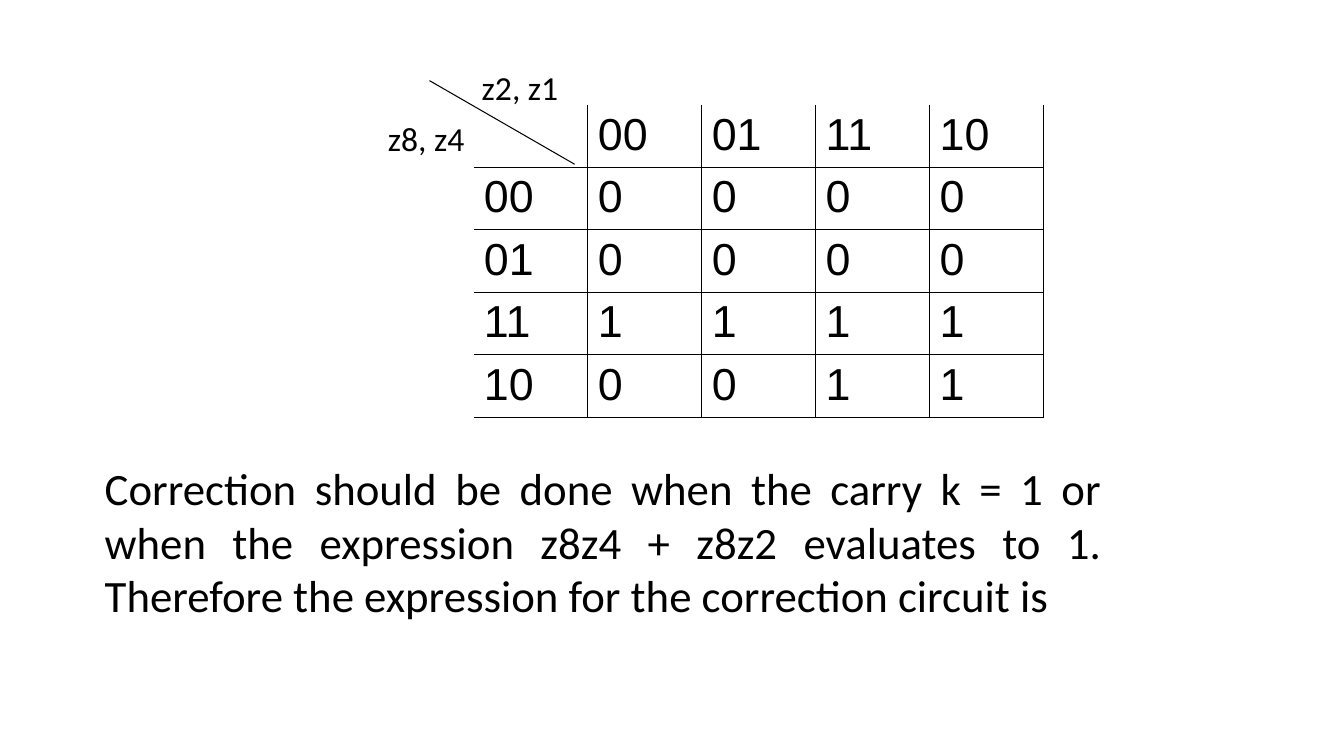
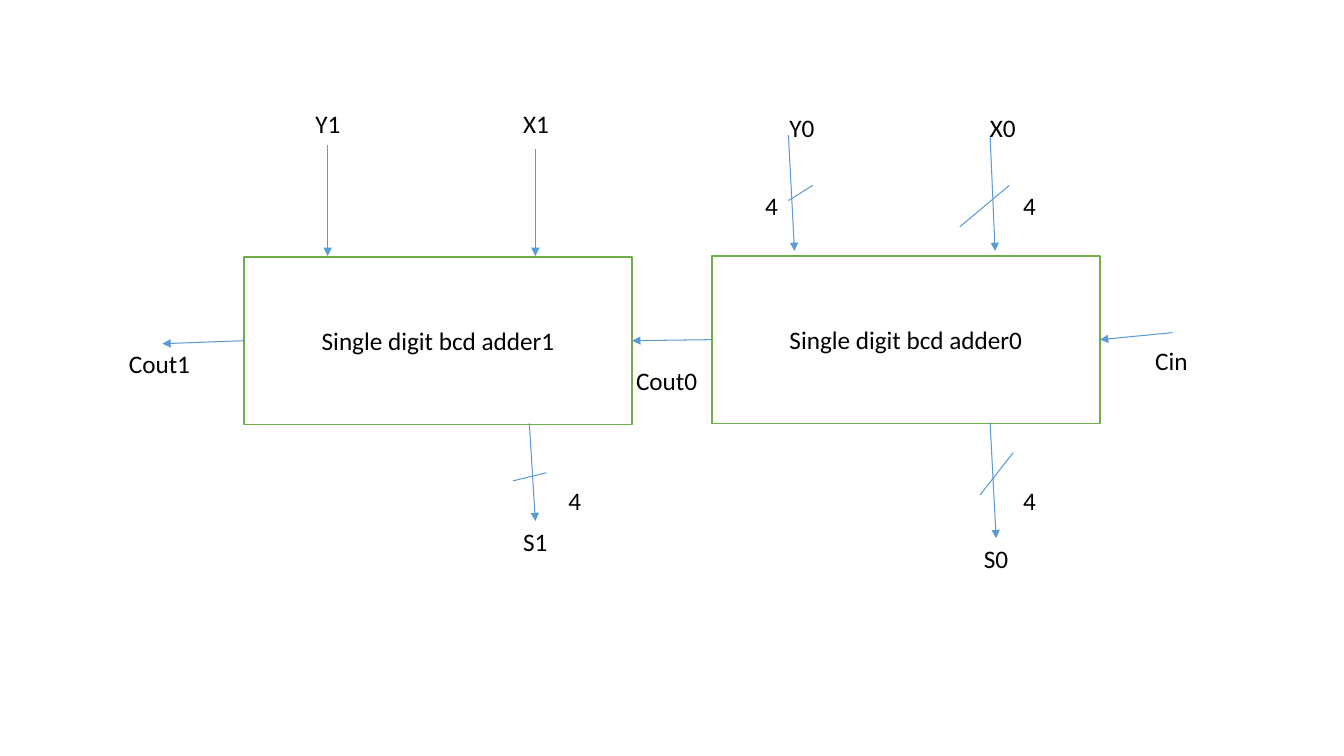
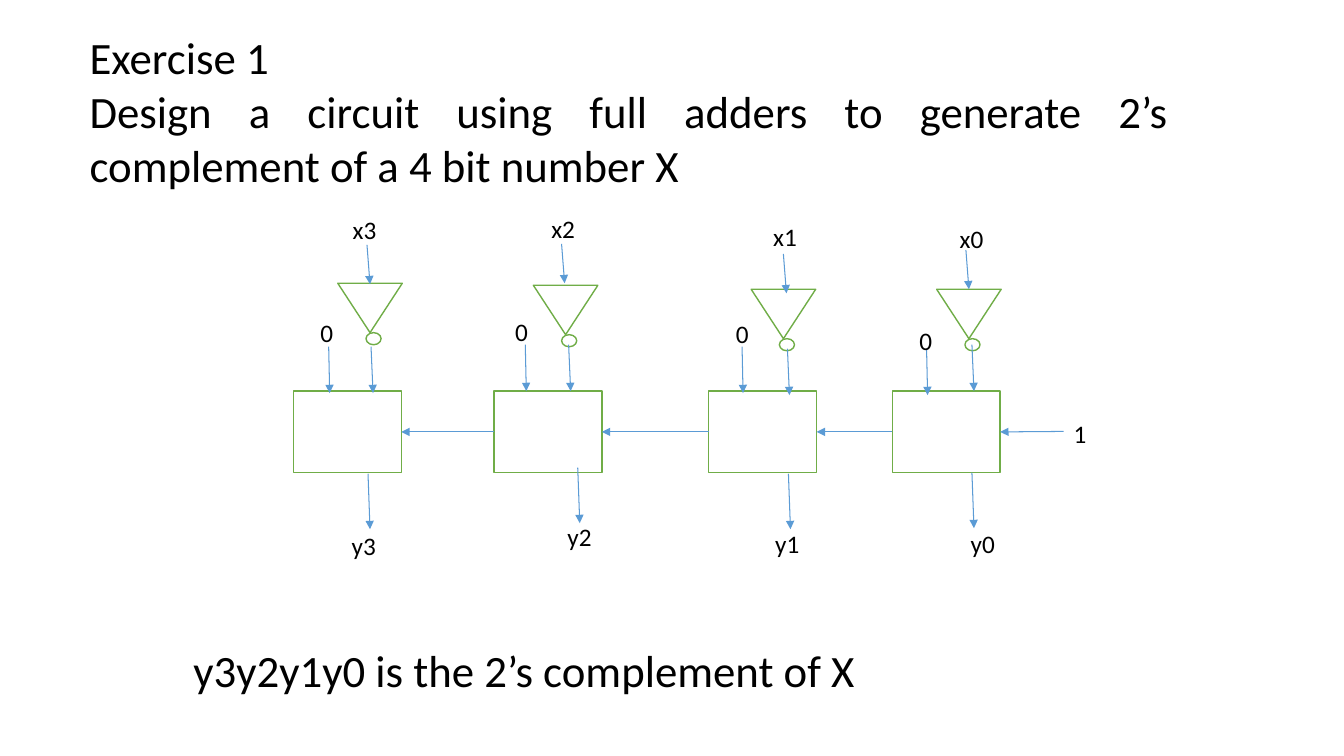
import pptx
import pptx.dml.color
import pptx.enum.dml
import pptx.enum.shapes
import pptx.enum.text
import pptx.oxml
import pptx.oxml.ns
import pptx.util
from lxml import etree
from pptx.util import Inches

COLORS = {"ink": "000000", "paper": "FFFFFF", "block": "70AD47", "wire": "5B9BD5"}
BODY, CELL = {"name": "Calibri", "size": 32}, {"name": "Arial", "size": 32}
AXIS, LABEL = {"name": "Calibri", "size": 24}, {"name": "Calibri", "size": 18}
INSETS = {"margin_left": 0.1, "margin_top": 0.05, "margin_right": 0.1, "margin_bottom": 0.05}
SHAPE = pptx.enum.shapes.MSO_SHAPE
ALIGN = pptx.enum.text.PP_ALIGN
LEFT_SIDE, RIGHT_SIDE = 1, 3

KARNAUGH_MAP = [
    ["", "00", "01", "11", "10"],
    ["00", "0", "0", "0", "0"],
    ["01", "0", "0", "0", "0"],
    ["11", "1", "1", "1", "1"],
    ["10", "0", "0", "1", "1"],
]

ADDER0 = {
    "name": "Single digit bcd adder0",
    "wires": [(2.76, -1.2, 2.81, -0.05), (0.76, -1.2, 0.82, -0.05), (2.76, 1.65, 2.82, 2.8)],
    "slashes": [(2.95, -0.7, 2.46, -0.29), (1, -0.7, 0.76, -0.55), (2.99, 1.95, 2.66, 2.37)],
    "labels": [("X0", 2.66, -1.47, 0.46), ("4", 2.99, -0.7, 0.33), ("Y0", 0.67, -1.47, 0.45),
               ("4", 0.43, -0.7, 0.33), ("4", 2.99, 2.23, 0.33), ("S0", 2.6, 2.8, 0.45),
               ("Cin", 4.3, 0.84, 0.53), ("Cout0", -0.85, 1.04, 0.82)],
}
ADDER1 = {
    "name": "Single digit bcd adder1",
    "wires": [(2.89, -1.07, 2.89, -0.01), (0.83, -1.11, 0.83, -0.01), (2.83, 1.65, 2.89, 2.62)],
    "slashes": [(3, 2.14, 2.67, 2.22)],
    "labels": [("X1", 2.67, -1.52, 0.46), ("Y1", 0.61, -1.52, 0.45), ("4", 3.12, 2.22, 0.33),
               ("S1", 2.67, 2.62, 0.45), ("Cout1", -1.24, 0.86, 0.82)],
}

WIRE_RUNS = {"x": (0.03, 0.39), "inverted": (0.02, 0.46), "zero": (0.01, 0.46), "y": (0.02, 0.55)}
STAGES = [
    {"left": 8.85, "inverter": (0.44, -1.01),
     "wires": {"x": (0.73, -1.4), "inverted": (0.79, -0.46), "zero": (0.34, -0.42), "y": (0.79, 0.81)},
     "labels": [("x0", 0.57, -1.71, 0.44), ("0", 0.17, -0.7, 0.33), ("y0", 0.68, 1.31, 0.44)]},
    {"left": 7.03, "inverter": (0.42, -1.01),
     "wires": {"x": (0.74, -1.36), "inverted": (0.78, -0.42), "zero": (0.33, -0.44), "y": (0.79, 0.82)},
     "labels": [("x1", 0.54, -1.73, 0.44), ("0", 0.17, -0.77, 0.33), ("y1", 0.56, 1.31, 0.44)]},
    {"left": 4.9, "inverter": (0.39, -1.05),
     "wires": {"x": (0.67, -1.46), "inverted": (0.74, -0.46), "zero": (0.31, -0.46), "y": (0.83, 0.76)},
     "labels": [("x2", 0.47, -1.81, 0.44), ("0", 0.11, -0.79, 0.33), ("y2", 0.63, 1.24, 0.44)]},
    {"left": 2.91, "inverter": (0.44, -1.07),
     "wires": {"x": (0.73, -1.45), "inverted": (0.77, -0.44), "zero": (0.35, -0.44), "y": (0.74, 0.82)},
     "labels": [("x3", 0.49, -1.8, 0.44), ("0", 0.17, -0.78, 0.33), ("y3", 0.48, 1.33, 0.44)]},
]


def rgb(color):
    """Return the named palette colour."""
    return pptx.dml.color.RGBColor.from_string(COLORS[color])


def write(frame, paragraphs, style, align=ALIGN.LEFT):
    """Fill a text frame with evenly styled paragraphs."""
    for side, inset in INSETS.items():
        setattr(frame, side, Inches(inset))
    for index, words in enumerate(paragraphs):
        paragraph = frame.add_paragraph() if index else frame.paragraphs[0]
        paragraph.alignment = align
        run = paragraph.add_run()
        run.text = words
        for key, value in {**style, "size": pptx.util.Pt(style["size"])}.items():
            setattr(run.font, key, value)
        run.font.color.rgb = rgb("ink")


def add_text(slide, box, paragraphs, style, align=ALIGN.LEFT, wrap=True):
    """Place a text box that grows with its text."""
    frame = slide.shapes.add_textbox(*map(Inches, box)).text_frame
    settings = {"word_wrap": wrap, "auto_size": pptx.enum.text.MSO_AUTO_SIZE.SHAPE_TO_FIT_TEXT}
    for key, value in settings.items():
        setattr(frame, key, value)
    write(frame, paragraphs, style, align)


def add_labels(slide, left, top, labels):
    """Place short labels relative to a block's corner."""
    for words, across, down, width in labels:
        add_text(slide, (left + across, top + down, width, 0.4), [words], LABEL, wrap=False)


def add_block(slide, preset, box):
    """Draw a white shape with a green outline."""
    block = slide.shapes.add_shape(preset, *map(Inches, box))
    block.shadow.inherit = False
    block.fill.solid()
    block.fill.fore_color.rgb = rgb("paper")
    block.line.color.rgb = rgb("block")
    block.line.width = pptx.util.Pt(1)
    return block


def add_wire(slide, x1, y1, x2, y2, color="wire", arrow=True):
    """Draw a straight wire, with an arrowhead at its end if wanted."""
    wire = slide.shapes.add_connector(
        pptx.enum.shapes.MSO_CONNECTOR.STRAIGHT, *map(Inches, (x1, y1, x2, y2)))
    wire.line.color.rgb = rgb(color)
    wire.line.width = pptx.util.Pt(0.75)
    if arrow:
        etree.SubElement(wire.line._get_or_add_ln(), pptx.oxml.ns.qn("a:tailEnd"), type="triangle")
    etree.SubElement(wire._element.spPr, pptx.oxml.ns.qn("a:effectLst"))
    return wire


def add_carry(slide, source, target):
    """Join the left side of one block to the right side of the next."""
    carry = add_wire(slide, 0, 0, 1, 1)
    carry.begin_connect(source, LEFT_SIDE)
    carry.end_connect(target, RIGHT_SIDE)


def set_border(cell, side, visible):
    """Draw or hide one border of a table cell."""
    paint = f'<a:solidFill><a:srgbClr val="{COLORS["ink"]}"/></a:solidFill>' if visible else "<a:noFill/>"
    cell._tc.get_or_add_tcPr().append(pptx.oxml.parse_xml(
        f'<a:ln{side} {pptx.oxml.ns.nsdecls("a")} w="12700">{paint}</a:ln{side}>'))


def add_karnaugh_map(slide, left, top, column_width, row_height):
    """Draw the map with its diagonal and the names of its axes."""
    size = len(KARNAUGH_MAP)
    grid = slide.shapes.add_table(size, size, *map(
        Inches, (left, top, size * column_width, size * row_height))).table
    grid.first_row = grid.horz_banding = False
    for row, values in enumerate(KARNAUGH_MAP):
        grid.rows[row].height = Inches(row_height)
        grid.columns[row].width = Inches(column_width)
        for column, value in enumerate(values):
            cell = grid.cell(row, column)
            for side, visible in {"L": column > 0, "R": True, "T": row > 0, "B": True}.items():
                set_border(cell, side, visible)
            cell.fill.background()
            if value:
                write(cell.text_frame, [value], CELL)
    add_wire(slide, left - 0.44, top - 0.24, left + 1, top + 0.59, "ink", arrow=False)
    for words, across, down in [("z2, z1", -0.02, -0.43), ("z8, z4", -0.95, 0.08)]:
        add_text(slide, (left + across, top + down, 0.97, 0.5), [words], AXIS, wrap=False)


def add_adder(slide, left, top, adder):
    """Draw a digit adder with its wires, bus slashes and labels."""
    block = add_block(slide, SHAPE.RECTANGLE, (left, top, 3.85, 1.66))
    block.text_frame.vertical_anchor = pptx.enum.text.MSO_ANCHOR.MIDDLE
    write(block.text_frame, [adder["name"]], LABEL, ALIGN.CENTER)
    for part, arrow in {"wires": True, "slashes": False}.items():
        for x1, y1, x2, y2 in adder[part]:
            add_wire(slide, left + x1, top + y1, left + x2, top + y2, arrow=arrow)
    add_labels(slide, left, top, adder["labels"])
    return block


def add_stage(slide, left, top, stage):
    """Draw a full adder with an inverter on its input."""
    block = add_block(slide, SHAPE.RECTANGLE, (left, top, 1.07, 0.81))
    across, down = stage["inverter"]
    inverter = add_block(slide, SHAPE.ISOSCELES_TRIANGLE, (left + across, top + down, 0.64, 0.49))
    inverter.rotation = 180
    add_block(slide, SHAPE.OVAL, (left + across + 0.28, top + down + 0.49, 0.15, 0.12))
    for part, (x, y) in stage["wires"].items():
        run, drop = WIRE_RUNS[part]
        add_wire(slide, left + x, top + y, left + x + run, top + y + drop)
    add_labels(slide, left, top, stage["labels"])
    return block


def build_correction(slide):
    """Build the slide with the correction map."""
    add_karnaugh_map(slide, 4.7, 1.04, 1.13, 0.62)
    add_text(slide, (0.94, 4.52, 10.09, 1.72), [
        "Correction should be done when the carry k = 1 or when the expression z8z4 + z8z2 "
        "evaluates to 1. Therefore the expression for the correction circuit is"], BODY, ALIGN.JUSTIFY)


def build_bcd_adder(slide):
    """Build the slide with the two digit adder."""
    adder0 = add_adder(slide, 7.06, 2.54, ADDER0)
    adder1 = add_adder(slide, 2.42, 2.55, ADDER1)
    add_carry(slide, adder0, adder1)
    add_wire(slide, 11.63, 3.3, 10.91, 3.37).end_connect(adder0, RIGHT_SIDE)
    add_wire(slide, 2.42, 3.38, 1.61, 3.41).begin_connect(adder1, LEFT_SIDE)


def build_exercise(slide):
    """Build the slide with the complement exercise."""
    add_text(slide, (0.79, 0.25, 10.9, 1.72), [
        "Exercise 1",
        "Design a circuit using full adders to generate 2’s complement of a 4 bit number X",
    ], BODY, ALIGN.JUSTIFY)
    adders = [add_stage(slide, stage["left"], 3.88, stage) for stage in STAGES]
    for source, target in zip(adders, adders[1:]):
        add_carry(slide, source, target)
    add_wire(slide, 10.55, 4.28, 9.92, 4.28).end_connect(adders[0], RIGHT_SIDE)
    add_labels(slide, 10.55, 4.1, [("1", 0, 0, 0.33)])
    add_text(slide, (1.82, 6.33, 6.93, 0.64), ["y3y2y1y0 is the 2’s complement of X"], BODY)


def main():
    """Build and save the presentation."""
    deck = pptx.Presentation()
    deck.slide_width, deck.slide_height = Inches(13.33), Inches(7.5)
    for build in (build_correction, build_bcd_adder, build_exercise):
        build(deck.slides.add_slide(deck.slide_layouts[6]))
    deck.save("out.pptx")


if __name__ == "__main__":
    main()
